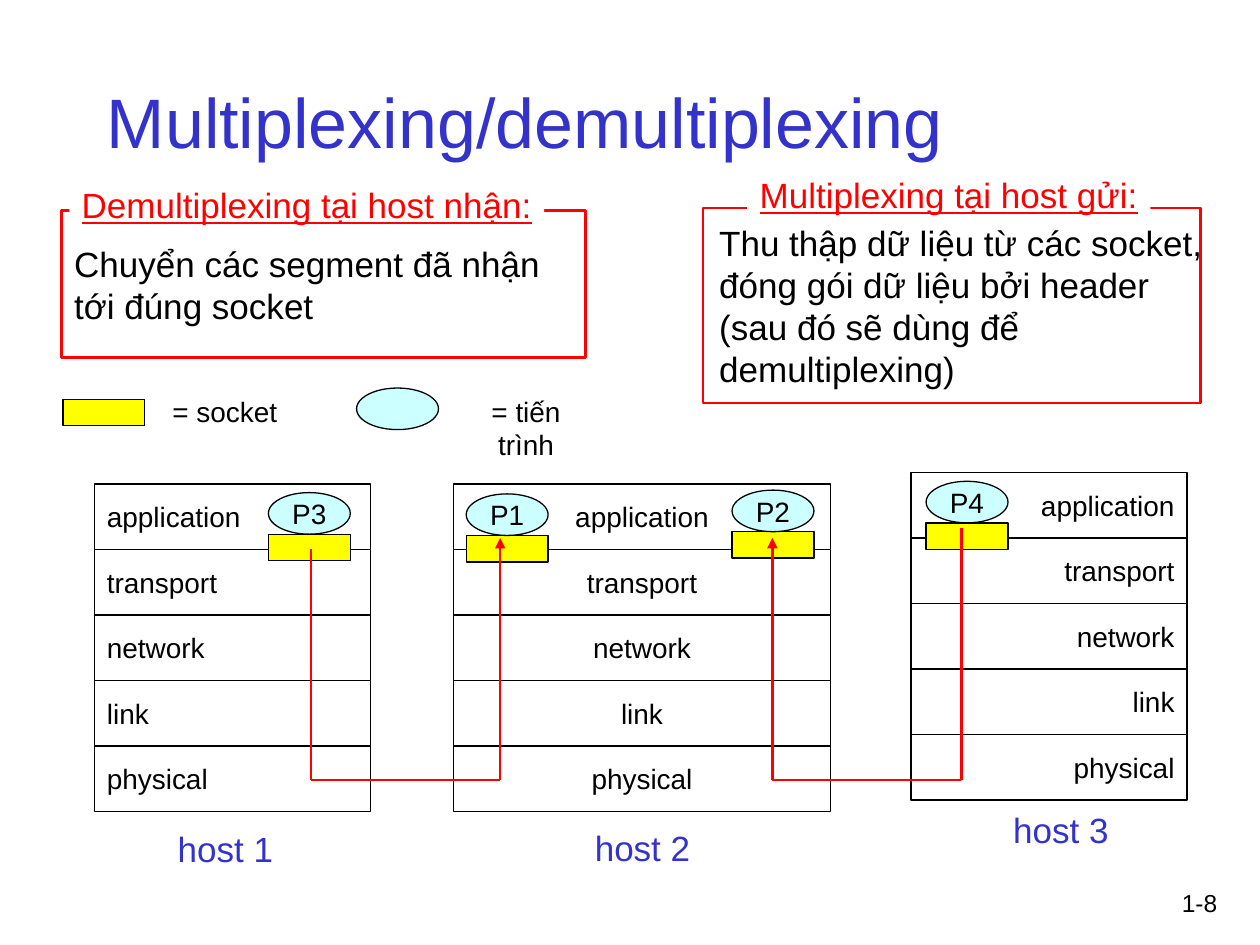
"""Build the multiplexing/demultiplexing slide with three host protocol stacks."""
from dataclasses import dataclass
from typing import Optional

from lxml import etree
from pptx import Presentation
from pptx.dml.color import RGBColor
from pptx.enum.shapes import MSO_CONNECTOR, MSO_SHAPE
from pptx.enum.text import MSO_ANCHOR, PP_ALIGN
from pptx.oxml.ns import qn
from pptx.util import Inches, Pt

BLACK = RGBColor(0x00, 0x00, 0x00)
WHITE = RGBColor(0xFF, 0xFF, 0xFF)
BLUE = RGBColor(0x33, 0x33, 0xCC)
RED = RGBColor(0xFF, 0x00, 0x00)
YELLOW = RGBColor(0xFF, 0xFF, 0x00)
CYAN = RGBColor(0xCC, 0xFF, 0xFF)
RECTANGLE, OVAL = MSO_SHAPE.RECTANGLE, MSO_SHAPE.OVAL
STRAIGHT = MSO_CONNECTOR.STRAIGHT
LEFT, CENTER, RIGHT = PP_ALIGN.LEFT, PP_ALIGN.CENTER, PP_ALIGN.RIGHT
TOP, MIDDLE = MSO_ANCHOR.TOP, MSO_ANCHOR.MIDDLE

FONT = "Arial"
LAYERS = ("application", "transport", "network", "link", "physical")
ROW_HEIGHT = 0.52
MARK_WIDTH, SOCKET_HEIGHT, PROCESS_HEIGHT = 0.65, 0.21, 0.33
BUS_Y = 6.19


@dataclass(frozen=True)
class Area:
    left: float
    top: float
    width: float
    height: float

    def lengths(self) -> tuple:
        return tuple(Inches(v) for v in (self.left, self.top, self.width, self.height))


@dataclass(frozen=True)
class Host:
    name: str
    left: float
    top: float
    width: float
    align: PP_ALIGN
    label: Area


@dataclass(frozen=True)
class Process:
    name: str
    left: float
    top: float


@dataclass(frozen=True)
class Route:
    source_x: float
    source_y: float
    target_x: float
    target_y: float


HOSTS = (
    Host("host 1", 0.75, 3.84, 2.19, LEFT, Area(1.31, 6.52, 0.96, 0.44)),
    Host("host 3", 7.23, 3.75, 2.19, RIGHT, Area(7.94, 6.37, 0.96, 0.44)),
    Host("host 2", 3.6, 3.84, 2.99, CENTER, Area(4.62, 6.51, 0.96, 0.44)),
)
PROCESSES = (
    Process("P2", 5.81, 3.89),
    Process("P3", 2.13, 3.91),
    Process("P4", 7.35, 3.82),
    Process("P1", 3.7, 3.92),
)
ROUTES = (Route(2.47, 4.36, 3.97, 4.27), Route(7.63, 4.19, 6.13, 4.27))


def write(box, text: str, *, size: float = 16, color: RGBColor = BLACK,
          align: PP_ALIGN = LEFT, anchor: MSO_ANCHOR = TOP,
          wrap: bool = False, underline: bool = False) -> None:
    frame = box.text_frame
    frame.word_wrap = wrap
    frame.vertical_anchor = anchor
    for index, line in enumerate(text.split("\n")):
        para = frame.paragraphs[0] if index == 0 else frame.add_paragraph()
        para.alignment = align
        span = para.add_run()
        span.text = line
        span.font.name = FONT
        span.font.size = Pt(size)
        span.font.color.rgb = color
        if underline:
            span.font.underline = True


def add_text(page, area: Area, text: str, **style) -> None:
    write(page.shapes.add_textbox(*area.lengths()), text, **style)


def add_box(page, area: Area, *, kind: MSO_SHAPE = RECTANGLE,
            fill: Optional[RGBColor] = None, line: Optional[RGBColor] = BLACK,
            weight: float = 0.75):
    box = page.shapes.add_shape(kind, *area.lengths())
    box.shadow.inherit = False
    if fill is None:
        box.fill.background()
    else:
        box.fill.solid()
        box.fill.fore_color.rgb = fill
    if line is None:
        box.line.fill.background()
    else:
        box.line.color.rgb = line
        box.line.width = Pt(weight)
    return box


def add_host(page, host: Host) -> None:
    for row, layer in enumerate(LAYERS):
        area = Area(host.left, host.top + row * ROW_HEIGHT, host.width, ROW_HEIGHT)
        write(add_box(page, area, fill=WHITE), layer, align=host.align, anchor=MIDDLE)
    add_text(page, host.label, host.name, size=20, color=BLUE, align=CENTER)


def add_socket(page, left: float, top: float) -> None:
    add_box(page, Area(left, top, MARK_WIDTH, SOCKET_HEIGHT), fill=YELLOW)


def add_oval(page, left: float, top: float):
    area = Area(left, top, MARK_WIDTH, PROCESS_HEIGHT)
    return add_box(page, area, kind=OVAL, fill=CYAN)


def add_process(page, process: Process) -> None:
    add_socket(page, process.left, process.top + PROCESS_HEIGHT)
    oval = add_oval(page, process.left, process.top)
    write(oval, process.name, align=CENTER, anchor=MIDDLE)


def add_line(page, start: tuple, end: tuple, *, arrow: bool = False) -> None:
    points = (Inches(v) for v in (*start, *end))
    line = page.shapes.add_connector(STRAIGHT, *points)
    line.line.color.rgb = RED
    line.line.width = Pt(1.5)
    if arrow:
        tail = etree.SubElement(line.line._get_or_add_ln(), qn("a:tailEnd"))
        tail.set("type", "triangle")
    etree.SubElement(line._element.spPr, qn("a:effectLst"))


def add_route(page, route: Route) -> None:
    source_foot = (route.source_x, BUS_Y)
    target_foot = (route.target_x, BUS_Y)
    add_line(page, (route.source_x, route.source_y), source_foot)
    add_line(page, target_foot, (route.target_x, route.target_y), arrow=True)
    add_line(page, source_foot, target_foot)


def add_heading(page, area: Area, text: str) -> None:
    box = add_box(page, area, fill=WHITE, line=None)
    write(box, text, size=20, color=RED, align=CENTER, underline=True)


def main() -> None:
    deck = Presentation()
    deck.slide_width, deck.slide_height = Inches(10), Inches(7.5)
    page = deck.slides.add_slide(deck.slide_layouts[6])

    add_text(page, Area(9.08, 7, 0.68, 0.5), "1-8", size=14, align=RIGHT, wrap=True)
    add_text(page, Area(0.75, 0.33, 8.5, 1.25), "Multiplexing/demultiplexing",
             size=40, color=BLUE, anchor=MIDDLE, wrap=True)

    for host in HOSTS:
        add_host(page, host)
    for process in PROCESSES:
        add_process(page, process)
    for route in ROUTES:
        add_route(page, route)

    add_socket(page, 0.5, 3.17)
    add_oval(page, 2.83, 3.08)
    add_text(page, Area(3.55, 3.08, 1.25, 0.37), "= tiến trình", align=CENTER)
    add_text(page, Area(1.27, 3.08, 1.03, 0.37), "= socket", align=CENTER)

    receiver = add_box(page, Area(0.49, 1.67, 4.16, 1.17), line=RED, weight=1.5)
    write(receiver, "Chuyển các segment đã nhận\ntới đúng socket", size=20, anchor=MIDDLE)
    add_heading(page, Area(0.55, 1.41, 3.77, 0.44), "Demultiplexing tại host nhận:")

    add_text(page, Area(5.61, 1.71, 4.04, 1.44),
             "Thu thập dữ liệu từ các socket,\nđóng gói dữ liệu bởi header\n"
             "(sau đó sẽ dùng để\ndemultiplexing)", size=20)
    add_box(page, Area(5.58, 1.65, 3.95, 1.55), line=RED, weight=1.5)
    add_heading(page, Area(5.93, 1.33, 3.2, 0.44), "Multiplexing tại host gửi:")

    deck.save("out.pptx")


if __name__ == "__main__":
    main()
